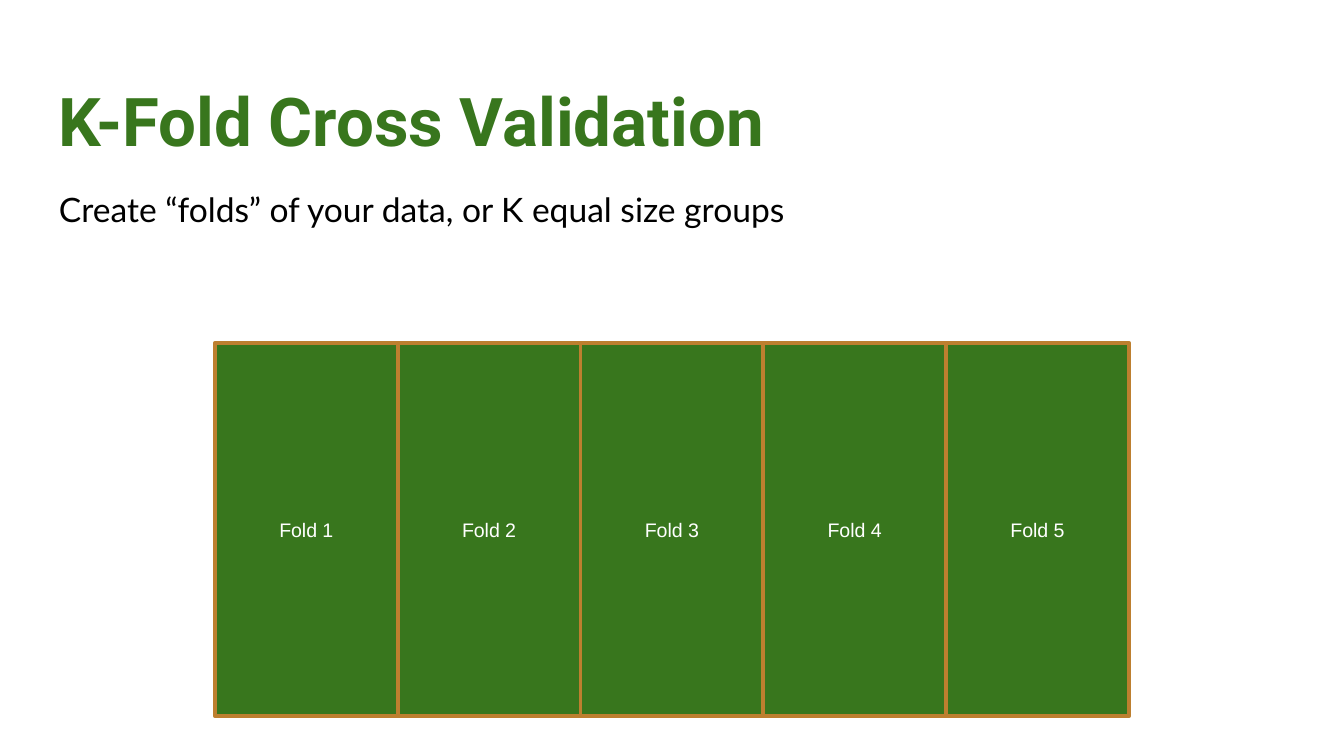
from dataclasses import dataclass

from pptx import Presentation
from pptx.dml.color import RGBColor
from pptx.enum.shapes import MSO_SHAPE
from pptx.enum.text import MSO_ANCHOR, PP_ALIGN
from pptx.util import Inches, Pt


@dataclass(frozen=True)
class Theme:
    green: str = "38761D"
    bronze: str = "BD7F2F"
    black: str = "000000"
    white: str = "FFFFFF"
    title_size: float = 36
    body_size: float = 18
    fold_size: float = 10.5
    border: float = 2


THEME = Theme()
WIDTH = 10
HEIGHT = WIDTH * 9 / 16
MARGIN = 0.34
FOLDS = 5
FOLD_LEFT, FOLD_TOP = 1.6, 2.55
FOLD_WIDTH, FOLD_HEIGHT = (WIDTH - 2 * FOLD_LEFT) / FOLDS, 2.78


def style(p, font, size, color, bold=False):
    p.font.name = font
    p.font.size = Pt(size)
    p.font.color.rgb = RGBColor.from_string(color)
    p.font.bold = bold


def add_text(slide, text, top, height, font, size, color, bold=False, spacing=1.0):
    box = slide.shapes.add_textbox(
        Inches(MARGIN), Inches(top), Inches(WIDTH - 2 * MARGIN), Inches(height)
    )
    tf = box.text_frame
    tf.word_wrap = True
    tf.margin_left = tf.margin_right = Inches(0.1)
    tf.margin_top = tf.margin_bottom = Inches(0.1)
    p = tf.paragraphs[0]
    p.text = text
    p.line_spacing = spacing
    style(p, font, size, color, bold)


def add_fold(slide, column):
    sp = slide.shapes.add_shape(
        MSO_SHAPE.RECTANGLE,
        Inches(FOLD_LEFT + column * FOLD_WIDTH),
        Inches(FOLD_TOP),
        Inches(FOLD_WIDTH),
        Inches(FOLD_HEIGHT),
    )
    sp.shadow.inherit = False
    sp.fill.solid()
    sp.fill.fore_color.rgb = RGBColor.from_string(THEME.green)
    sp.line.color.rgb = RGBColor.from_string(THEME.bronze)
    sp.line.width = Pt(THEME.border)
    tf = sp.text_frame
    tf.vertical_anchor = MSO_ANCHOR.MIDDLE
    p = tf.paragraphs[0]
    p.text = f"Fold {column + 1}"
    p.alignment = PP_ALIGN.CENTER
    style(p, "Arial", THEME.fold_size, THEME.white)


def main():
    prs = Presentation()
    prs.slide_width, prs.slide_height = Inches(WIDTH), Inches(HEIGHT)
    slide = prs.slides.add_slide(prs.slide_layouts[6])
    add_text(slide, "K-Fold Cross Validation", 0.49, 0.63,
             "Roboto", THEME.title_size, THEME.green, bold=True)
    add_text(slide, "Create “folds” of your data, or K equal size groups", 1.26, 3.74,
             "Lato", THEME.body_size, THEME.black, spacing=1.15)
    for column in reversed(range(FOLDS)):
        add_fold(slide, column)
    prs.save("out.pptx")


if __name__ == "__main__":
    main()
